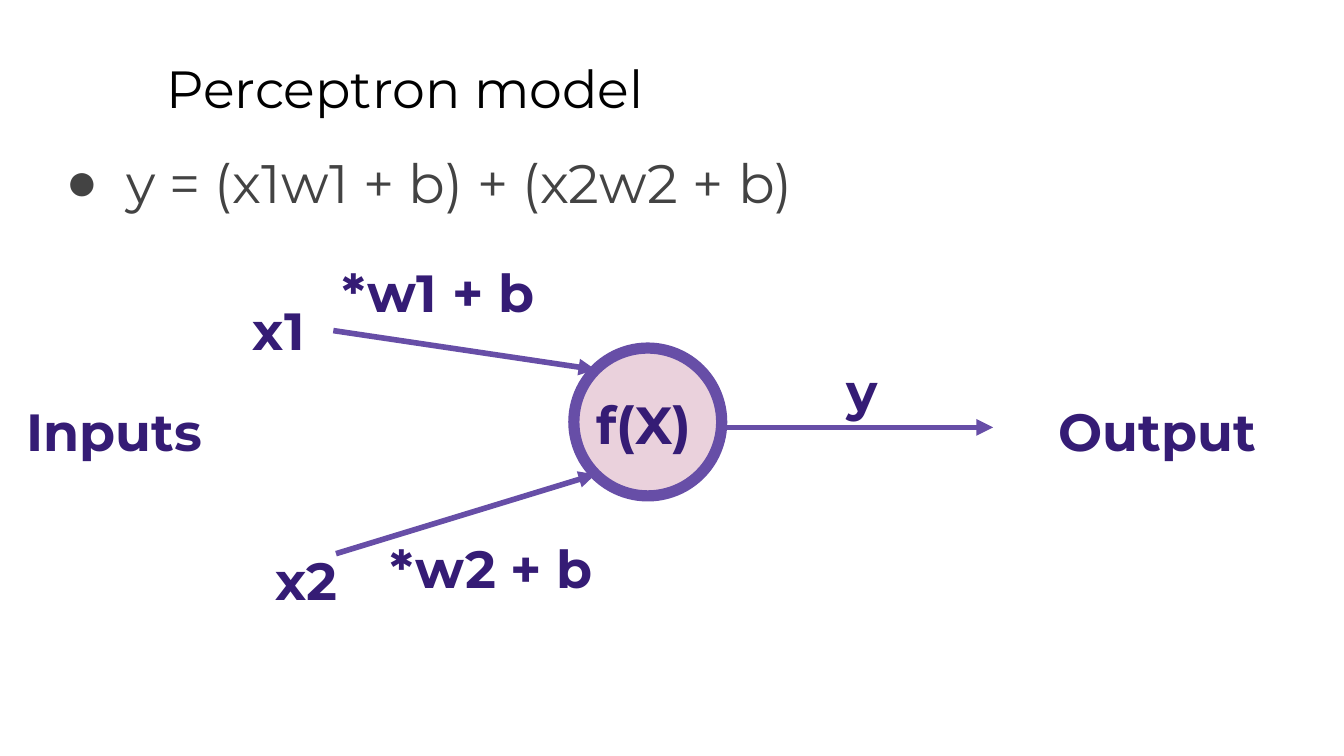
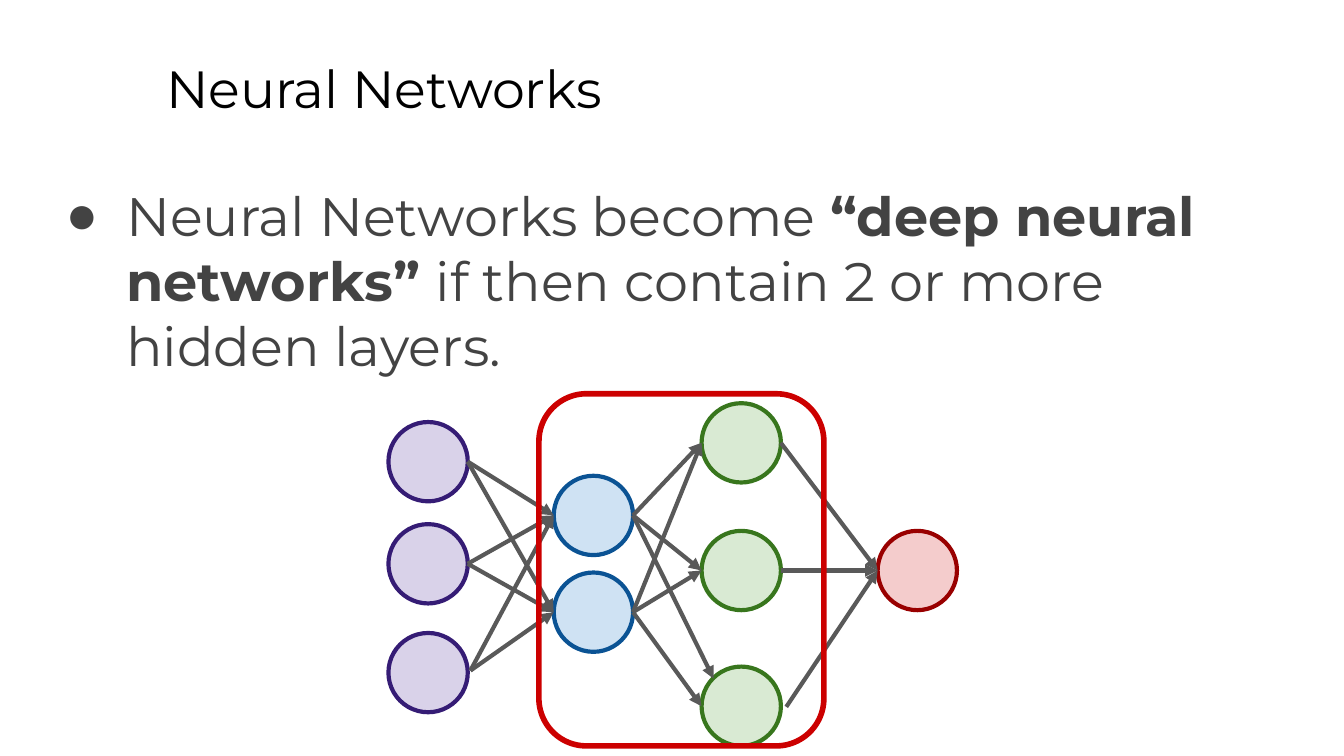
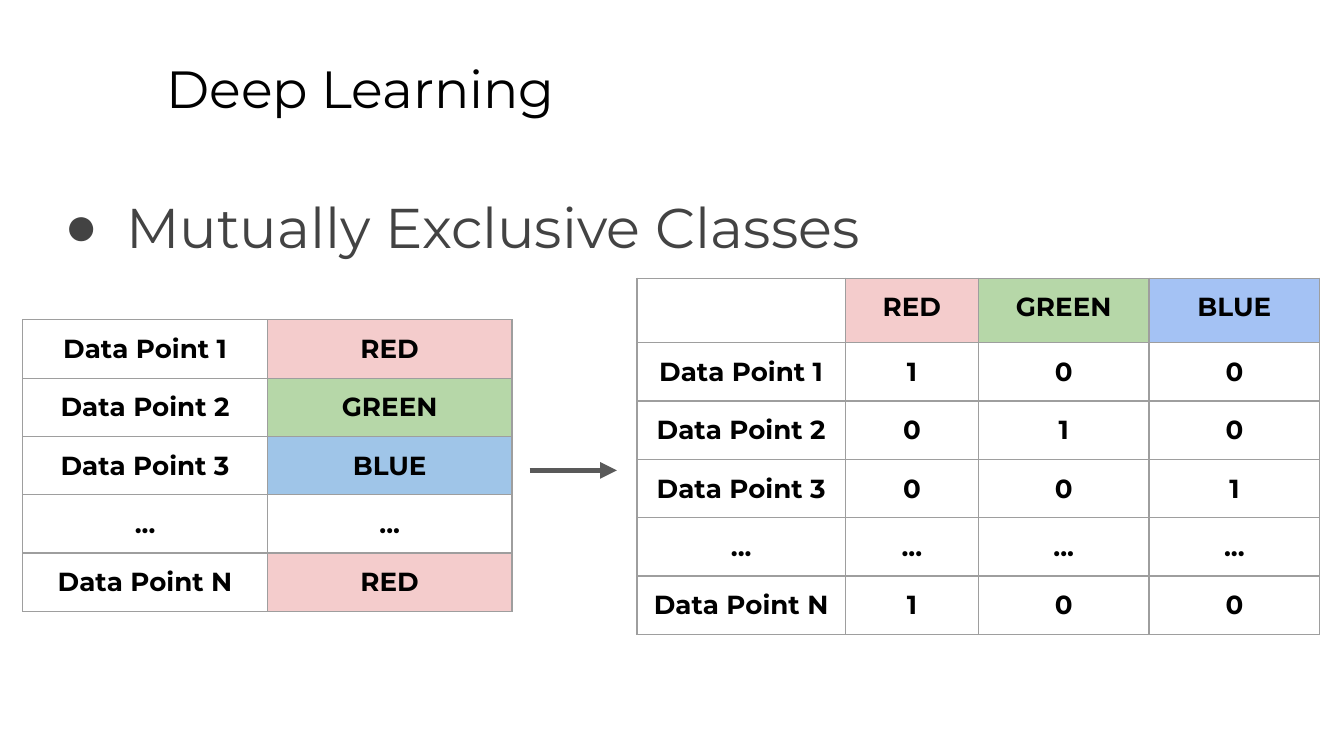
"""Build three slides on perceptrons, neural networks and one-hot classes."""
from itertools import product

from pptx import Presentation
from pptx.dml.color import RGBColor
from pptx.enum.shapes import MSO_CONNECTOR as Connector, MSO_SHAPE as Shape
from pptx.enum.text import PP_ALIGN as Align
from pptx.oxml.ns import qn
from pptx.util import Inches, Pt
from lxml.etree import SubElement

FONT = "Montserrat"
BULLET_FONT = "Arial"
BLACK = RGBColor(0x00, 0x00, 0x00)
BODY_GREY = RGBColor(0x43, 0x43, 0x43)
ARROW_GREY = RGBColor(0x59, 0x59, 0x59)
BORDER_GREY = RGBColor(0x9E, 0x9E, 0x9E)
INDIGO = RGBColor(0x35, 0x1C, 0x75)
PURPLE = RGBColor(0x67, 0x4E, 0xA7)
PINK = RGBColor(0xEA, 0xD1, 0xDC)
LILAC = RGBColor(0xD9, 0xD2, 0xE9)
PALE_BLUE = RGBColor(0xCF, 0xE2, 0xF3)
DARK_BLUE = RGBColor(0x0B, 0x53, 0x94)
PALE_GREEN = RGBColor(0xD9, 0xEA, 0xD3)
DARK_GREEN = RGBColor(0x38, 0x76, 0x1D)
PALE_RED = RGBColor(0xF4, 0xCC, 0xCC)
DARK_RED = RGBColor(0x99, 0x00, 0x00)
FRAME_RED = RGBColor(0xCC, 0x00, 0x00)
CLASS_GREEN = RGBColor(0xB6, 0xD7, 0xA8)
CLASS_BLUE = RGBColor(0x9F, 0xC5, 0xE8)
HEADER_BLUE = RGBColor(0xA4, 0xC2, 0xF4)

TITLE_AREA = (1.14, 0.32, 8.52, 0.63)
LABEL_HEIGHT = 0.63

PERCEPTRON_LABELS = [
    ("Inputs", 0.1, 2.87, 2.33),
    ("Output", 7.78, 2.87, 2.33),
    ("x1", 1.78, 2.12, 0.97),
    ("y", 6.2, 2.57, 0.97),
    ("f(X)", 4.34, 2.82, 0.97),
    ("x2", 1.95, 3.98, 0.97),
    ("*w1 + b", 2.45, 1.84, 1.95),
    ("*w2 + b", 2.81, 3.89, 1.95),
]
PERCEPTRON_ARROWS = [
    ((2.48, 2.46), (4.43, 2.75)),
    ((2.5, 4.12), (4.43, 3.53)),
    ((5.37, 3.18), (7.39, 3.18)),
]

NODE_SIZE = 0.59
LAYERS = [
    (2.89, (3.14, 3.9, 4.71), LILAC, INDIGO),
    (4.12, (3.54, 4.26), PALE_BLUE, DARK_BLUE),
    (5.22, (3, 3.95, 4.96), PALE_GREEN, DARK_GREEN),
    (6.53, (3.95,), PALE_RED, DARK_RED),
]
SPECIAL_STARTS = {(0, 2): (3.5, 4.99), (2, 2): (5.85, 5.26)}
SPECIAL_ENDS = {(1, 0, 2): (5.31, 5.05)}

CLASS_ROWS = [
    ("Data Point 1", "RED"),
    ("Data Point 2", "GREEN"),
    ("Data Point 3", "BLUE"),
    ("...", "..."),
    ("Data Point N", "RED"),
]
CLASS_FILLS = {"RED": PALE_RED, "GREEN": CLASS_GREEN, "BLUE": CLASS_BLUE}
ONE_HOT_ROWS = [
    ("", "RED", "GREEN", "BLUE"),
    ("Data Point 1", "1", "0", "0"),
    ("Data Point 2", "0", "1", "0"),
    ("Data Point 3", "0", "0", "1"),
    ("...", "...", "...", "..."),
    ("Data Point N", "1", "0", "0"),
]
ONE_HOT_FILLS = {**CLASS_FILLS, "BLUE": HEADER_BLUE}


def write(para, text, size=28, color=BLACK, bold=False):
    span = para.add_run()
    span.text = text
    span.font.name = FONT
    span.font.size = Pt(size)
    span.font.bold = bold
    span.font.color.rgb = color


def add_box(page, area):
    frame = page.shapes.add_textbox(*map(Inches, area)).text_frame
    frame.word_wrap = True
    frame.margin_left = frame.margin_right = Inches(0.1)
    frame.margin_top = frame.margin_bottom = Inches(0.1)
    return frame.paragraphs[0]


def add_page(deck, title):
    page = deck.slides.add_slide(deck.slide_layouts[6])
    write(add_box(page, TITLE_AREA), title)
    return page


def add_bullet(page, area, spans, size=29, hanging=0.45, spacing=None):
    para = add_box(page, area)
    para.line_spacing = spacing
    for text, bold in spans:
        write(para, text, size=size, color=BODY_GREY, bold=bold)
    props = para._p.get_or_add_pPr()
    props.set("marL", str(Inches(0.5)))
    props.set("indent", str(-Inches(hanging)))
    SubElement(SubElement(props, qn("a:buClr")), qn("a:srgbClr"), val=str(BODY_GREY))
    SubElement(props, qn("a:buFont"), typeface=BULLET_FONT)
    SubElement(props, qn("a:buChar"), char="●")


def add_outline(page, kind, area, line, weight, fill=None):
    shape = page.shapes.add_shape(kind, *map(Inches, area))
    shape.shadow.inherit = False
    if fill is None:
        shape.fill.background()
    else:
        shape.fill.solid()
        shape.fill.fore_color.rgb = fill
    shape.line.color.rgb = line
    shape.line.width = Pt(weight)


def add_arrow(page, start, end, color=ARROW_GREY, weight=3):
    arrow = page.shapes.add_connector(Connector.STRAIGHT, *map(Inches, (*start, *end)))
    arrow.line.color.rgb = color
    arrow.line.width = Pt(weight)
    props = arrow.element.spPr
    SubElement(props.find(qn("a:ln")), qn("a:tailEnd"), type="triangle")
    SubElement(props, qn("a:effectLst"))


def add_borders(cell):
    props = cell._tc.get_or_add_tcPr()
    for index, side in enumerate(("a:lnL", "a:lnR", "a:lnT", "a:lnB")):
        line = props.makeelement(qn(side), {"w": str(Pt(0.75))})
        fill = SubElement(line, qn("a:solidFill"))
        SubElement(fill, qn("a:srgbClr"), val=str(BORDER_GREY))
        props.insert(index, line)


def add_grid(page, left, top, rows, widths, heights, fills):
    area = (left, top, sum(widths), sum(heights))
    table = page.shapes.add_table(len(rows), len(widths), *map(Inches, area)).table
    table.first_row = table.horz_banding = False
    for column, width in zip(table.columns, widths):
        column.width = Inches(width)
    for row, height in zip(table.rows, heights):
        row.height = Inches(height)
    for cell, text in zip(table.iter_cells(), (text for row in rows for text in row)):
        cell.margin_left = cell.margin_right = Inches(0.1)
        cell.margin_top = cell.margin_bottom = Inches(0.1)
        if text in fills:
            cell.fill.solid()
            cell.fill.fore_color.rgb = fills[text]
        else:
            cell.fill.background()
        add_borders(cell)
        para = cell.text_frame.paragraphs[0]
        para.alignment = Align.CENTER
        para.font.size = Pt(14)
        if text:
            write(para, text, size=14, bold=True)


def build_perceptron(deck):
    page = add_page(deck, "Perceptron model")
    add_bullet(page, (0.34, 1.01, 9.5, 3.74), [("y = (x1w1 + b) + (x2w2 + b)", False)])
    add_outline(page, Shape.OVAL, (4.27, 2.59, 1.1, 1.1), PURPLE, 6, fill=PINK)
    for start, end in PERCEPTRON_ARROWS:
        add_arrow(page, start, end, color=PURPLE)
    for text, left, top, width in PERCEPTRON_LABELS:
        box = add_box(page, (left, top, width, LABEL_HEIGHT))
        write(box, text, color=INDIGO, bold=True)


def build_network(deck):
    page = add_page(deck, "Neural Networks")
    add_bullet(page, (0.34, 1.26, 9.5, 3.74), [
        ("Neural Networks become ", False),
        ("“deep neural networks” ", True),
        ("if then contain 2 or more hidden layers.", False),
    ])
    for left, tops, fill, line in LAYERS:
        for top in tops:
            area = (left, top, NODE_SIZE, NODE_SIZE)
            add_outline(page, Shape.OVAL, area, line, 2.25, fill=fill)
    for layer, (source, target) in enumerate(zip(LAYERS, LAYERS[1:])):
        for (i, top), (j, next_top) in product(enumerate(source[1]), enumerate(target[1])):
            start = (source[0] + NODE_SIZE, top + NODE_SIZE / 2)
            end = (target[0], next_top + NODE_SIZE / 2)
            add_arrow(page, SPECIAL_STARTS.get((layer, i), start),
                      SPECIAL_ENDS.get((layer, i, j), end), weight=2.25)
    add_outline(page, Shape.ROUNDED_RECTANGLE, (4.01, 2.93, 2.12, 2.62), FRAME_RED, 3)


def build_classes(deck):
    page = add_page(deck, "Deep Learning")
    add_bullet(page, (0.34, 1.26, 9.66, 3.65), [("Mutually Exclusive Classes", False)],
               size=30, hanging=0.46, spacing=1.15)
    add_grid(page, 4.74, 2.07, ONE_HOT_ROWS, (1.55, 0.99, 1.27, 1.27),
             [0.48] + [0.42] * 5, ONE_HOT_FILLS)
    add_grid(page, 0.17, 2.38, CLASS_ROWS, (1.82, 1.82), [0.42] * 5, CLASS_FILLS)
    add_arrow(page, (3.94, 3.5), (4.59, 3.5))


deck = Presentation()
deck.slide_width = Inches(10)
deck.slide_height = deck.slide_width * 9 // 16
build_perceptron(deck)
build_network(deck)
build_classes(deck)
deck.save("out.pptx")
